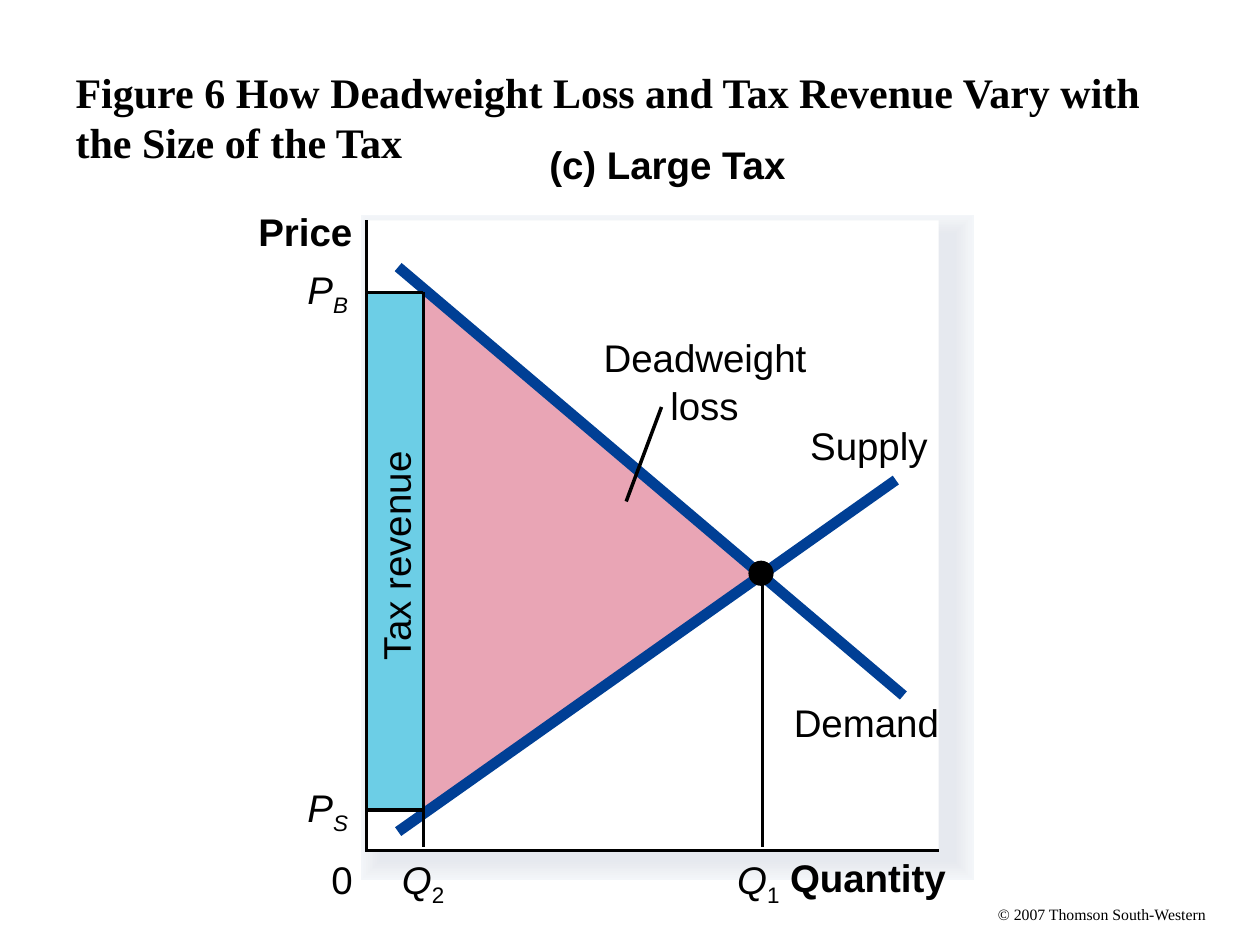
from lxml.etree import SubElement
from pptx import Presentation
from pptx.dml.color import RGBColor
from pptx.enum.shapes import MSO_CONNECTOR, MSO_SHAPE
from pptx.enum.text import MSO_ANCHOR, MSO_AUTO_SIZE, PP_ALIGN
from pptx.oxml.ns import qn
from pptx.util import Inches, Pt

THEME = {
    "ink": "000000", "paper": "FFFFFF", "curve": "003F95",
    "revenue": "6CCEE6", "loss": "E9A5B5",
    "shade": ["F3F6F9", "F2F4F8", "F1F4F7", "F0F2F5", "EEF1F4", "EDEFF3",
              "EBEEF2", "EAECF1", "E9EBF0", "E7EAEF", "E6E9EF"],
    "serif": "Times New Roman", "sans": "Arial",
    "title": 24, "label": 22, "credit": 9, "thin": 2, "thick": 6.12,
}

prs = Presentation()
prs.slide_width, prs.slide_height = Inches(10), Inches(7.5)
s = prs.slides.add_slide(prs.slide_layouts[5])
col, row = prs.slide_width / 100, prs.slide_height / 75


def paint(sp, fill=None, line=None, width=THEME["thin"]):
    sp.shadow.inherit = False
    if fill:
        sp.fill.solid()
        sp.fill.fore_color.rgb = RGBColor.from_string(fill)
    else:
        sp.fill.background()
    if line:
        sp.line.color.rgb = RGBColor.from_string(line)
        sp.line.width = Pt(width)
        SubElement(sp._element.spPr.find(qn("a:ln")), qn("a:miter"), lim="800000")
    else:
        sp.line.fill.background()


def write(tf, text, sub="", **fmt):
    p = tf.paragraphs[0]
    p.alignment = PP_ALIGN.LEFT
    base = {"name": THEME["sans"], "size": Pt(THEME["label"]), "bold": False, "italic": False}
    for part in filter(None, (text, sub)):
        r = p.add_run()
        r.text = part
        for key, value in {**base, **fmt}.items():
            setattr(r.font, key, value)
        r.font.color.rgb = RGBColor.from_string(THEME["ink"])
        if part == sub:
            r.font.italic = not sub.isdigit()
            r._r.get_or_add_rPr().set("baseline", "-25000")


title = s.shapes.title
title.left, title.top = int(5 * col), int(3 * row)
title.width, title.height = int(90 * col), int(12.5 * row)
tf = title.text_frame
for key, value in {"word_wrap": True, "auto_size": MSO_AUTO_SIZE.NONE,
                   "vertical_anchor": MSO_ANCHOR.MIDDLE}.items():
    setattr(tf, key, value)
write(tf, "Figure 6 How Deadweight Loss and Tax Revenue Vary with the Size of the Tax",
      name=THEME["serif"], size=Pt(THEME["title"]), bold=True)

left, right, top, bottom = 29.1, 74.5, 17.5, 67.5
q2, q1, p_buyer, p_seller, p_even = 33.6, 60.5, 23.2, 64.3, 45.8
foot = 67.2

rects = [(30.2, 18.6, 45.5, 49.7, shade, shade, 22.6 - 2.06 * i)
         for i, shade in enumerate(THEME["shade"])]
rects += [
    (left, top, right - left, bottom - top, THEME["paper"], None, 0),
    (left, p_buyer, q2 - left, p_seller - p_buyer, THEME["revenue"], None, 0),
]
for x, y, w, h, fill, line, width in rects:
    sp = s.shapes.add_shape(MSO_SHAPE.RECTANGLE, int(x * col), int(y * row), int(w * col), int(h * row))
    paint(sp, fill, line, width)

outlines = [
    ([(q2, p_buyer), (q2, p_seller), (q1, p_even)], True, THEME["loss"], None),
    ([(left, top), (left, bottom), (right, bottom)], False, None, THEME["ink"]),
]
for points, closed, fill, line in outlines:
    points = [(int(x * col), int(y * row)) for x, y in points]
    fb = s.shapes.build_freeform(*points[0], scale=1.0)
    fb.add_line_segments(points[1:], close=closed)
    paint(fb.convert_to_shape(), fill, line)

lines = [
    (31.6, 21.2, 71.7, 55.2, "curve", "thick"),
    (71.1, 38.1, 31.6, 66, "curve", "thick"),
    (q1, foot, q1, p_even, "ink", "thin"),
    (q2, foot, q2, p_buyer, "ink", "thin"),
    (q2, p_buyer, left, p_buyer, "ink", "thin"),
    (q2, p_seller, left, p_seller, "ink", "thin"),
    (52.5, 32.3, 49.7, 39.8, "ink", "thin"),
]
for x1, y1, x2, y2, color, width in lines:
    c = s.shapes.add_connector(MSO_CONNECTOR.STRAIGHT, int(x1 * col), int(y1 * row),
                               int(x2 * col), int(y2 * row))
    c.line.color.rgb = RGBColor.from_string(THEME[color])
    c.line.width = Pt(THEME[width])
    SubElement(c._element.spPr, qn("a:effectLst"))

dot = s.shapes.add_shape(MSO_SHAPE.OVAL, int((q1 - 1.1) * col), int((p_even - 1.3) * row),
                         int(2 * col), int(2 * row))
paint(dot, THEME["ink"])

bold, italic = {"bold": True}, {"italic": True}
labels = [
    (43.6, 11.2, 19.5, "(c) Large Tax", "", bold),
    (20.5, 16.5, 7.9, "Price", "", bold),
    (62.7, 67.8, 12.8, "Quantity", "", bold),
    (26.3, 67.9, 2.1, "0", "", {}),
    (24.4, 21.1, 3.8, "P", "B", italic),
    (24.4, 62.2, 3.8, "P", "S", italic),
    (31.9, 67.9, 3.9, "Q", "2", italic),
    (58.5, 67.9, 3.9, "Q", "1", italic),
    (63, 55.5, 12, "Demand", "", {}),
    (64.3, 33.5, 9.9, "Supply", "", {}),
    (47.9, 26.5, 16.8, "Deadweight", "", {}),
    (53.2, 30.3, 6, "loss", "", {}),
    (22.9, 42.1, 17, "Tax revenue", "", {}),
    (79.2, 71.8, 17, "© 2007 Thomson South-Western", "",
     {"name": THEME["serif"], "size": Pt(THEME["credit"])}),
]
for x, y, w, text, sub, fmt in labels:
    h = 1.5 if "size" in fmt else 3.7
    sp = s.shapes.add_textbox(int(x * col), int(y * row), int(w * col), int(h * row))
    sp.rotation = 270 if text == "Tax revenue" else 0
    tf = sp.text_frame
    for key in ("margin_left", "margin_top", "margin_right", "margin_bottom"):
        setattr(tf, key, 0)
    tf.word_wrap = True
    write(tf, text, sub, **fmt)

prs.save("out.pptx")
